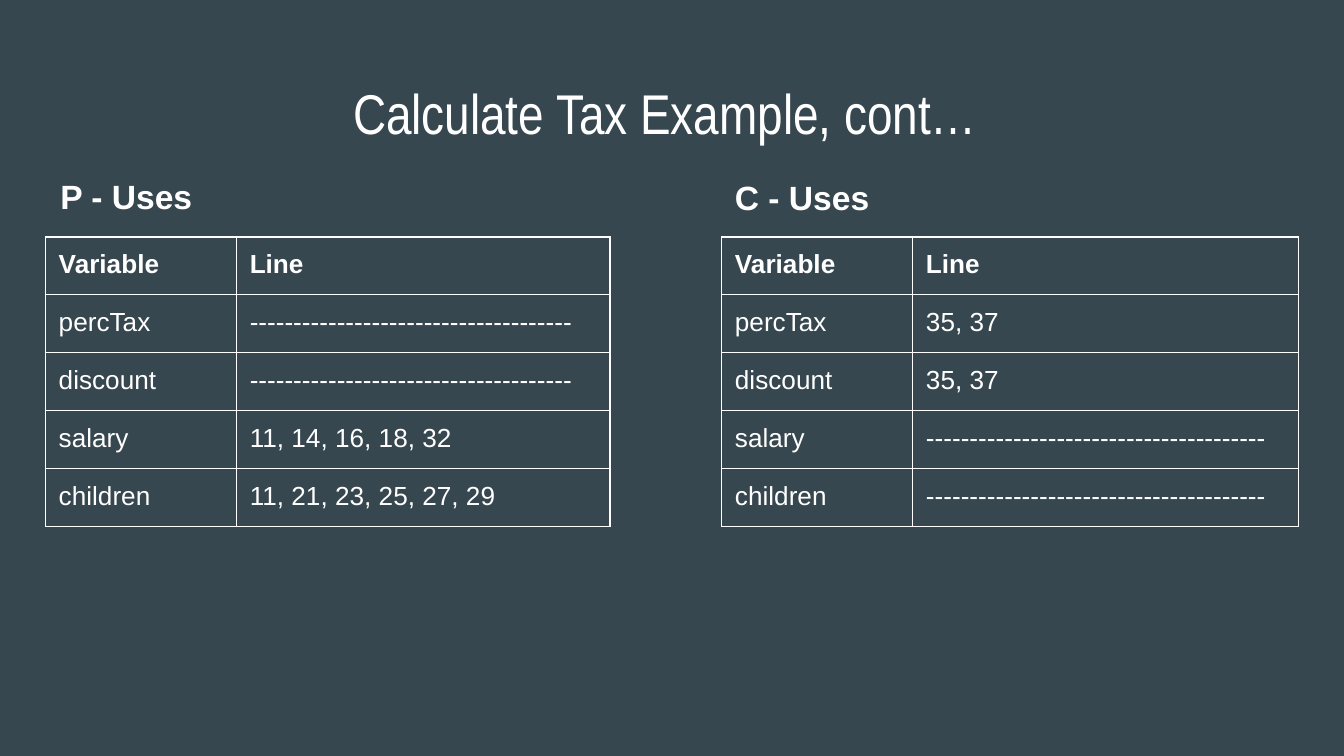
from lxml import etree
from pptx import Presentation
from pptx.dml.color import RGBColor
from pptx.enum.text import MSO_ANCHOR, PP_ALIGN
from pptx.oxml.ns import qn
from pptx.util import Cm, Pt

BACKGROUND = RGBColor(0x37, 0x47, 0x4F)
WHITE = RGBColor(0xFF, 0xFF, 0xFF)
TOP = MSO_ANCHOR.TOP
LEFT = PP_ALIGN.LEFT
CENTER = PP_ALIGN.CENTER
INSET = Cm(0.25)
ROW_HEIGHT = Cm(1.06)
VARIABLE_WIDTH = Cm(3.61)

USES = [
    ("P - Uses", 0.89, 3.07, 0.86, 7.06,
     ["-" * 37, "-" * 37, "11, 14, 16, 18, 32", "11, 21, 23, 25, 27, 29"]),
    ("C - Uses", 13.64, 3.1, 13.64, 7.29,
     ["35, 37", "35, 37", "-" * 39, "-" * 39]),
]
VARIABLES = ["percTax", "discount", "salary", "children"]


def write_text(frame, text, size, font_name="Arial", bold=False, alignment=LEFT):
    frame.word_wrap = True
    paragraph = frame.paragraphs[0]
    paragraph.alignment = alignment
    run = paragraph.add_run()
    run.text = text
    run.font.name = font_name
    run.font.size = Pt(size)
    run.font.bold = bold
    run.font.color.rgb = WHITE


def add_label(left, top, width, height, text, size, **style):
    frame = slide.shapes.add_textbox(Cm(left), Cm(top), Cm(width), Cm(height)).text_frame
    frame.margin_left = frame.margin_right = INSET
    frame.margin_top = frame.margin_bottom = INSET
    frame.vertical_anchor = TOP
    write_text(frame, text, size, **style)


presentation = Presentation()
presentation.slide_width = Cm(25.4)
presentation.slide_height = Cm(14.29)
slide = presentation.slides.add_slide(presentation.slide_layouts[6])
slide.background.fill.solid()
slide.background.fill.fore_color.rgb = BACKGROUND

add_label(0.86, 1.24, 23.67, 1.6, "Calculate Tax Example, cont… ", 30,
          font_name="Arial Narrow", alignment=CENTER)

for heading, heading_left, heading_top, table_left, line_width, lines in USES:
    add_label(heading_left, heading_top, 7.11, 1.09, heading, 18, bold=True)

    rows = [("Variable", "Line"), *zip(VARIABLES, lines)]
    table = slide.shapes.add_table(
        len(rows), 2, Cm(table_left), Cm(4.48),
        VARIABLE_WIDTH + Cm(line_width), ROW_HEIGHT * len(rows)).table
    table.horz_banding = False
    table.columns[0].width = VARIABLE_WIDTH
    table.columns[1].width = Cm(line_width)

    for row_index, row in enumerate(rows):
        table.rows[row_index].height = ROW_HEIGHT
        for column_index, text in enumerate(row):
            cell = table.cell(row_index, column_index)
            cell.margin_left = cell.margin_right = INSET
            cell.margin_top = cell.margin_bottom = INSET
            cell.vertical_anchor = TOP
            write_text(cell.text_frame, text, 14, bold=row_index == 0)
            properties = cell._tc.get_or_add_tcPr()
            for side in ("a:lnL", "a:lnR", "a:lnT", "a:lnB"):
                border = etree.SubElement(properties, qn(side), w=str(Pt(0.75)))
                fill = etree.SubElement(border, qn("a:solidFill"))
                etree.SubElement(fill, qn("a:srgbClr"), val=str(WHITE))
            cell.fill.background()

presentation.save("out.pptx")
